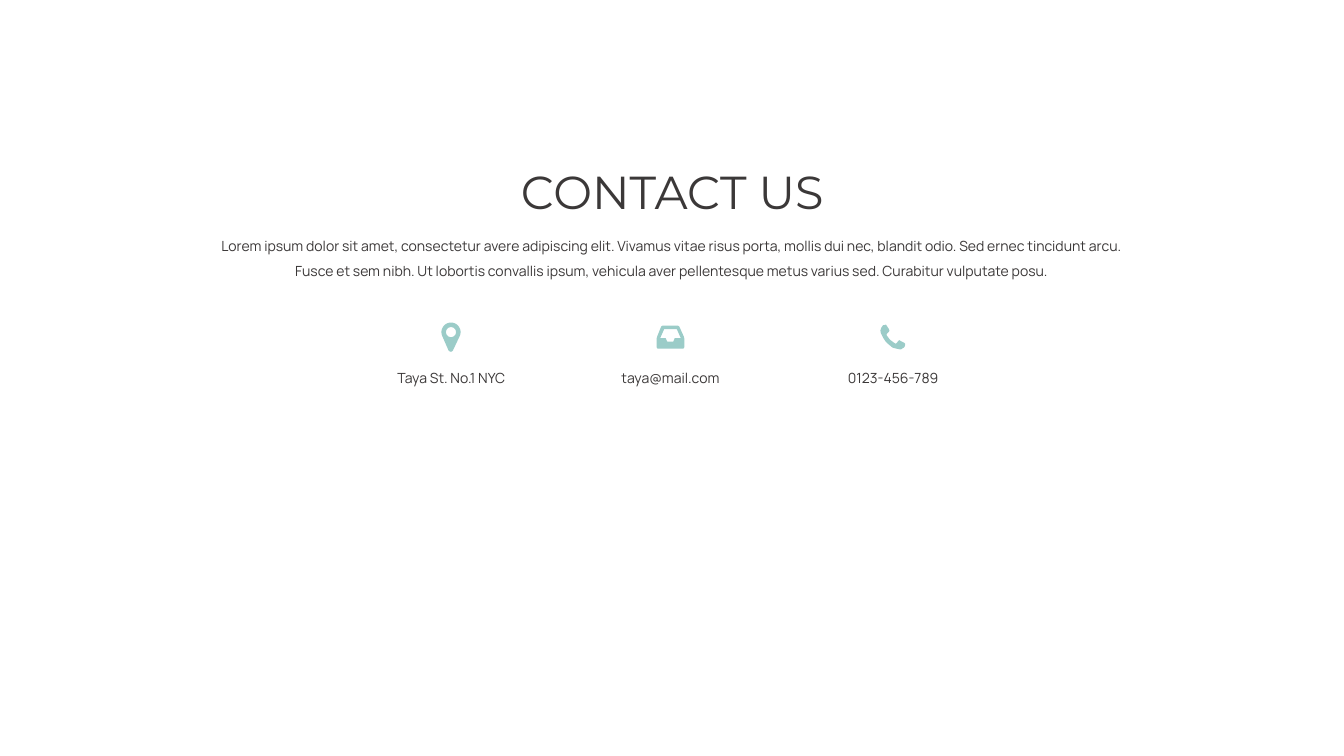
import math

import pptx
import pptx.dml.color
import pptx.enum.shapes
import pptx.enum.text
import pptx.oxml
import pptx.oxml.ns
import pptx.util

Inches = pptx.util.Inches


def color(code):
    return pptx.dml.color.RGBColor.from_string(code)


def arc(x, y, radius, start, end, steps=24):
    angles = [math.radians(start + (end - start) * i / steps) for i in range(steps + 1)]
    return [(x + radius * math.cos(a), y + radius * math.sin(a)) for a in angles]


class Deck:
    ink = "3B3838"
    mint = "9BCCC8"
    white = "FFFFFF"
    title = {"size": pptx.util.Pt(66), "name": "Montserrat"}
    body = {"size": pptx.util.Pt(20), "name": "Manrope"}

    def __init__(self, width, height):
        self.show = pptx.Presentation()
        self.show.slide_width = Inches(width)
        self.show.slide_height = Inches(height)
        self.slide = self.show.slides.add_slide(self.show.slide_layouts[6])

    def paint(self, shape, code):
        shape.shadow.inherit = False
        shape.fill.solid()
        shape.fill.fore_color.rgb = color(code)
        shape.line.fill.background()

    def panel(self, box, alpha):
        kind = pptx.enum.shapes.MSO_SHAPE.RECTANGLE
        shape = self.slide.shapes.add_shape(kind, *map(Inches, box))
        self.paint(shape, self.white)
        tint = shape._element.spPr.find(".//" + pptx.oxml.ns.qn("a:srgbClr"))
        name = pptx.oxml.ns.qn("a:alpha")
        tint.append(tint.makeelement(name, {"val": str(alpha * 1000)}))

    def text(self, words, box, style, spacing=1.0):
        frame = self.slide.shapes.add_textbox(*map(Inches, box)).text_frame
        frame.word_wrap = True
        frame.auto_size = pptx.enum.text.MSO_AUTO_SIZE.SHAPE_TO_FIT_TEXT
        para = frame.paragraphs[0]
        para.alignment = pptx.enum.text.PP_ALIGN.CENTER
        para.line_spacing = spacing
        run = para.add_run()
        run.text = words
        for key, value in style.items():
            setattr(run.font, key, value)
        run.font.color.rgb = color(self.ink)

    def icon(self, *loops):
        loops = [[(Inches(x), Inches(y)) for x, y in loop] for loop in loops]
        pen = self.slide.shapes.build_freeform(*loops[0][0], scale=1.0)
        pen.add_line_segments(loops[0][1:], close=True)
        for loop in loops[1:]:
            pen.move_to(*loop[0])
            pen.add_line_segments(loop[1:], close=True)
        self.paint(pen.convert_to_shape(), self.mint)


def main():
    deck = Deck(26.67, 15)
    deck.panel((0, 3.81, 26.67, 4.93), 75)
    deck.text("CONTACT US", (3.67, 3.2, 19.34, 1.21), deck.title)
    deck.text(
        "Lorem ipsum dolor sit amet, consectetur avere adipiscing elit. "
        "Vivamus vitae risus porta, mollis dui nec, blandit odio. "
        "Sed ernec tincidunt arcu. Fusce et sem nibh. "
        "Ut lobortis convallis ipsum, vehicula aver pellentesque metus varius sed. "
        "Curabitur vulputate posu.",
        (4.11, 4.5, 18.44, 1.11), deck.body, 1.5)

    tray = [(13.15, 6.46), (13.45, 6.46), (13.48, 6.48), (13.57, 6.68),
            (13.58, 6.72), (13.58, 6.89), (13.56, 6.92), (13.05, 6.92),
            (13.03, 6.89), (13.03, 6.72), (13.04, 6.68), (13.12, 6.48)]
    slot = [(13.18, 6.53), (13.1, 6.71), (13.21, 6.71), (13.24, 6.78),
            (13.36, 6.78), (13.39, 6.71), (13.51, 6.71), (13.43, 6.53)]
    deck.icon(tray, slot)

    point = [(8.99, 6.95), (8.97, 6.97), (8.95, 6.98), (8.92, 6.97), (8.9, 6.95)]
    deck.icon(arc(8.95, 6.59, 0.19, 158, 382) + point, arc(8.95, 6.59, 0.1, 0, 360))

    phone = [(17.58, 6.44), (17.6, 6.47), (17.64, 6.53), (17.65, 6.56),
             (17.64, 6.58), (17.6, 6.62), (17.59, 6.65), (17.6, 6.66),
             (17.66, 6.74), (17.74, 6.8), (17.77, 6.82), (17.79, 6.81),
             (17.83, 6.76), (17.85, 6.75), (17.88, 6.77), (17.94, 6.8),
             (17.96, 6.82), (17.96, 6.85), (17.95, 6.88), (17.93, 6.9),
             (17.88, 6.93), (17.85, 6.93), (17.8, 6.92), (17.72, 6.9),
             (17.69, 6.88), (17.63, 6.83), (17.57, 6.77), (17.53, 6.71),
             (17.5, 6.65), (17.48, 6.61), (17.47, 6.56), (17.48, 6.53),
             (17.49, 6.5), (17.51, 6.47), (17.53, 6.45), (17.55, 6.45)]
    deck.icon(phone)

    labels = {"taya@mail.com": 11.14, "0123-456-789": 15.56, "Taya St. No.1 NYC": 6.79}
    for words, left in labels.items():
        deck.text(words, (left, 7.29, 4.33, 0.44), deck.body)
    deck.show.save("out.pptx")


if __name__ == "__main__":
    main()
